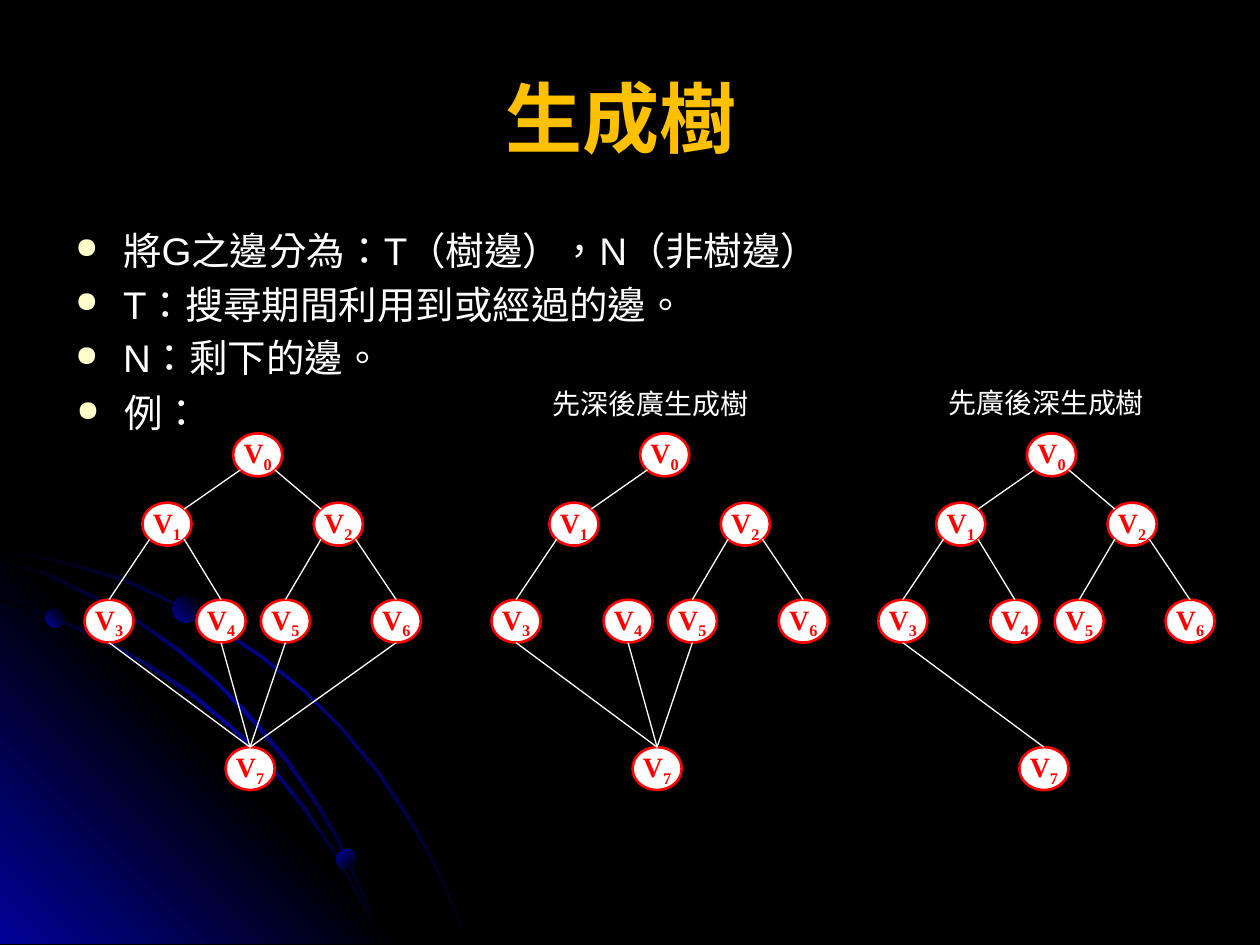
from pptx import Presentation, oxml
from pptx import util as u
from pptx.dml.color import RGBColor
from pptx.enum import lang, shapes, text
from pptx.oxml import ns

Inches, Pt = u.Inches, u.Pt
HUES = {"black": "000000", "blue": "010199", "gold": "FFC000",
        "white": "FFFFFF", "cream": "FFFFCC", "red": "FF0000"}
CHINESE = lang.MSO_LANGUAGE_ID.TRADITIONAL_CHINESE
TITLE = {"name": "Arial", "size": Pt(44), "bold": True, "language_id": CHINESE}
BODY = {"name": "Arial", "size": Pt(22), "language_id": CHINESE}
LABEL = {"name": "Arial", "size": Pt(16), "language_id": CHINESE}
NODE = {"name": "Times New Roman", "size": Pt(16), "bold": True}

ARCS = [
    [(0.57, 4.47), (0.28, 4.41), (0, 4.35), (0, 4.38), (0.28, 4.43), (0.56, 4.49),
     (0.97, 4.61), (1.35, 4.78), (1.73, 4.99), (2.08, 5.23), (2.41, 5.49),
     (2.71, 5.79), (2.98, 6.12), (3.23, 6.49), (3.37, 6.73), (3.5, 6.98),
     (3.6, 7.23), (3.7, 7.49), (3.72, 7.49), (3.62, 7.23), (3.52, 6.98),
     (3.39, 6.73), (3.25, 6.48), (3, 6.11), (2.72, 5.78), (2.42, 5.48),
     (2.09, 5.21), (1.74, 4.97), (1.36, 4.77), (0.98, 4.59)],
    [(2.85, 7.14), (2.94, 7.32), (3.01, 7.49), (3.03, 7.49), (2.96, 7.3),
     (2.86, 7.12), (2.66, 6.76), (2.42, 6.4), (2.15, 6.06), (1.84, 5.76),
     (1.52, 5.49), (1.17, 5.26), (0.79, 5.05), (0.41, 4.88), (0, 4.75), (0, 4.77),
     (0.39, 4.9), (0.77, 5.07), (1.15, 5.28), (1.5, 5.51), (1.83, 5.78),
     (2.13, 6.08), (2.4, 6.41), (2.65, 6.77)],
    [(0, 4.42), (0, 4.44), (0.36, 4.57), (0.74, 4.75), (1.09, 4.94), (1.42, 5.18),
     (1.73, 5.44), (2.02, 5.75), (2.27, 6.05), (2.52, 6.41), (2.67, 6.67),
     (2.8, 6.94), (2.92, 7.22), (3.01, 7.49), (3.03, 7.49), (2.94, 7.2),
     (2.82, 6.93), (2.69, 6.65), (2.54, 6.39), (2.29, 6.03), (2.04, 5.73),
     (1.75, 5.43), (1.44, 5.16), (1.11, 4.93), (0.76, 4.73), (0.39, 4.55)],
]
CORNER = [(3.22, 7.49), (0, 7.49), (0, 4.27)]
DOTS = [(0.36, 4.83, 0.15, 315), (2.67, 6.74, 0.16, 45), (1.37, 4.73, 0.21, 315)]

WIDE, HIGH = 0.39, 0.34
SPOTS = [(1.18, 0), (0.46, 0.55), (1.82, 0.55), (0, 1.32),
         (0.89, 1.32), (1.4, 1.32), (2.28, 1.32), (1.12, 2.49)]
SITES = {"top": (0.5, 0), "foot": (0.5, 1), "nw": (0.15, 0.15),
         "ne": (0.85, 0.15), "sw": (0.15, 0.85), "se": (0.85, 0.85)}
EDGES = {(0, 1): ("sw", "ne"), (0, 2): ("se", "nw"),
         (1, 3): ("sw", "top"), (1, 4): ("se", "top"),
         (2, 5): ("sw", "top"), (2, 6): ("se", "top"),
         (3, 7): ("foot", "top"), (4, 7): ("foot", "top"),
         (5, 7): ("foot", "top"), (6, 7): ("foot", "top")}
TREES = [(0.67, set()), (3.9, {(0, 2), (1, 4), (6, 7)}),
         (6.97, {(4, 7), (5, 7), (6, 7)})]


def rgb(name):
    return RGBColor.from_string(HUES[name])


def style(font, hue, form):
    for key, value in form.items():
        setattr(font, key, value)
    font.color.rgb = rgb(hue)


def shade(shape, stops, angle):
    shape.shadow.inherit = False
    shape.line.fill.background()
    shape.fill.gradient()
    marks = "".join(
        f'<a:gs pos="{pos * 1000}"><a:srgbClr val="{HUES[hue]}"/></a:gs>'
        for pos, hue in stops)
    grad = oxml.parse_xml(
        f'<a:gradFill {ns.nsdecls("a")} rotWithShape="1"><a:gsLst>{marks}</a:gsLst>'
        f'<a:lin ang="{angle * 60000}" scaled="1"/></a:gradFill>')
    props = shape._element.spPr
    props.replace(props.find(ns.qn("a:gradFill")), grad)


def outline(group, points, stops, angle):
    spots = [(Inches(x), Inches(y)) for x, y in points]
    path = group.shapes.build_freeform(*spots[0])
    path.add_line_segments(spots[1:], close=True)
    shade(path.convert_to_shape(), stops, angle)


def add_decor(slide):
    group = slide.shapes.add_group_shape()
    glow = [(0, "black"), (50, "blue"), (100, "black")]
    outline(group, ARCS[0], glow, 45)
    outline(group, CORNER, [(0, "blue"), (50, "black"), (100, "blue")], 315)
    for arc in ARCS[1:]:
        outline(group, arc, glow, 45)
    for x, y, size, angle in DOTS:
        dot = group.shapes.add_shape(
            shapes.MSO_SHAPE.OVAL, *map(Inches, (x, y, size, size)))
        shade(dot, [(0, "blue"), (100, "black")], angle)


def add_text(slide, box, lines, form, hue="white", bullet=False, **frame):
    body = slide.shapes.add_textbox(*map(Inches, box)).text_frame
    for key, value in frame.items():
        setattr(body, key, value)
    for i, line in enumerate(lines):
        para = body.paragraphs[0] if i == 0 else body.add_paragraph()
        if i:
            para.space_before = Pt(4.4)
        if bullet:
            add_bullet(para)
        run = para.add_run()
        run.text = line
        style(run.font, hue, form)
    return body


def add_bullet(para):
    props = para._p.get_or_add_pPr()
    props.set("marL", str(Inches(0.38)))
    props.set("indent", str(-Inches(0.38)))
    for tag in (f'buClr {ns.nsdecls("a")}><a:srgbClr val="{HUES["cream"]}"/></a:buClr',
                f'buSzPct {ns.nsdecls("a")} val="75000"/',
                f'buChar {ns.nsdecls("a")} char="●"/'):
        props.append(oxml.parse_xml(f"<a:{tag}>"))


def add_node(group, x, y, digit):
    node = group.shapes.add_shape(
        shapes.MSO_SHAPE.FLOWCHART_CONNECTOR, *map(Inches, (x, y, WIDE, HIGH)))
    node.shadow.inherit = False
    node.fill.solid()
    node.fill.fore_color.rgb = rgb("white")
    node.line.color.rgb = rgb("red")
    node.line.width = Pt(1.5)
    body = node.text_frame
    body.word_wrap = False
    body.vertical_anchor = text.MSO_ANCHOR.MIDDLE
    para = body.paragraphs[0]
    para.alignment = text.PP_ALIGN.CENTER
    for word in ("V", str(digit)):
        run = para.add_run()
        run.text = word
        style(run.font, "red", NODE)
    run.font._element.set("baseline", "-25000")


def add_tree(slide, left, top, cut):
    group = slide.shapes.add_group_shape()
    for digit, (x, y) in enumerate(SPOTS):
        add_node(group, left + x, top + y, digit)
    for pair, sites in EDGES.items():
        if pair in cut:
            continue
        ends = []
        for digit, site in zip(pair, sites):
            (x, y), (across, down) = SPOTS[digit], SITES[site]
            ends += [left + x + across * WIDE, top + y + down * HIGH]
        edge = group.shapes.add_connector(
            shapes.MSO_CONNECTOR.STRAIGHT, *map(Inches, ends))
        edge.line.color.rgb = rgb("white")
        edge.line.width = Pt(0.75)
        edge._element.spPr.append(oxml.parse_xml(f'<a:effectLst {ns.nsdecls("a")}/>'))


def main():
    deck = Presentation()
    deck.slide_width, deck.slide_height = Inches(10), Inches(7.5)
    slide = deck.slides.add_slide(deck.slide_layouts[6])
    slide.background.fill.solid()
    slide.background.fill.fore_color.rgb = rgb("black")
    add_decor(slide)
    title = add_text(slide, (0.5, 0.3, 9, 1.25), ["生成樹 "], TITLE, "gold",
                     word_wrap=True, vertical_anchor=text.MSO_ANCHOR.MIDDLE)
    title.paragraphs[0].alignment = text.PP_ALIGN.CENTER
    add_text(slide, (0.5, 1.75, 9, 1.37),
             ["將G之邊分為：T（樹邊），N（非樹邊）", "T：搜尋期間利用到或經過的邊。", "N：剩下的邊。"],
             BODY, bullet=True, word_wrap=True)
    add_text(slide, (0.51, 3.04, 1.24, 0.47), ["例："], BODY, bullet=True, word_wrap=False)
    add_text(slide, (4.29, 2.88, 1.85, 0.5), ["先深後廣生成樹"], LABEL,
             word_wrap=False, vertical_anchor=text.MSO_ANCHOR.BOTTOM)
    add_text(slide, (7.43, 3.01, 1.82, 0.37), ["先廣後深生成樹"], LABEL, word_wrap=False)
    for left, cut in TREES:
        add_tree(slide, left, 3.44, cut)
    deck.save("out.pptx")


if __name__ == "__main__":
    main()
